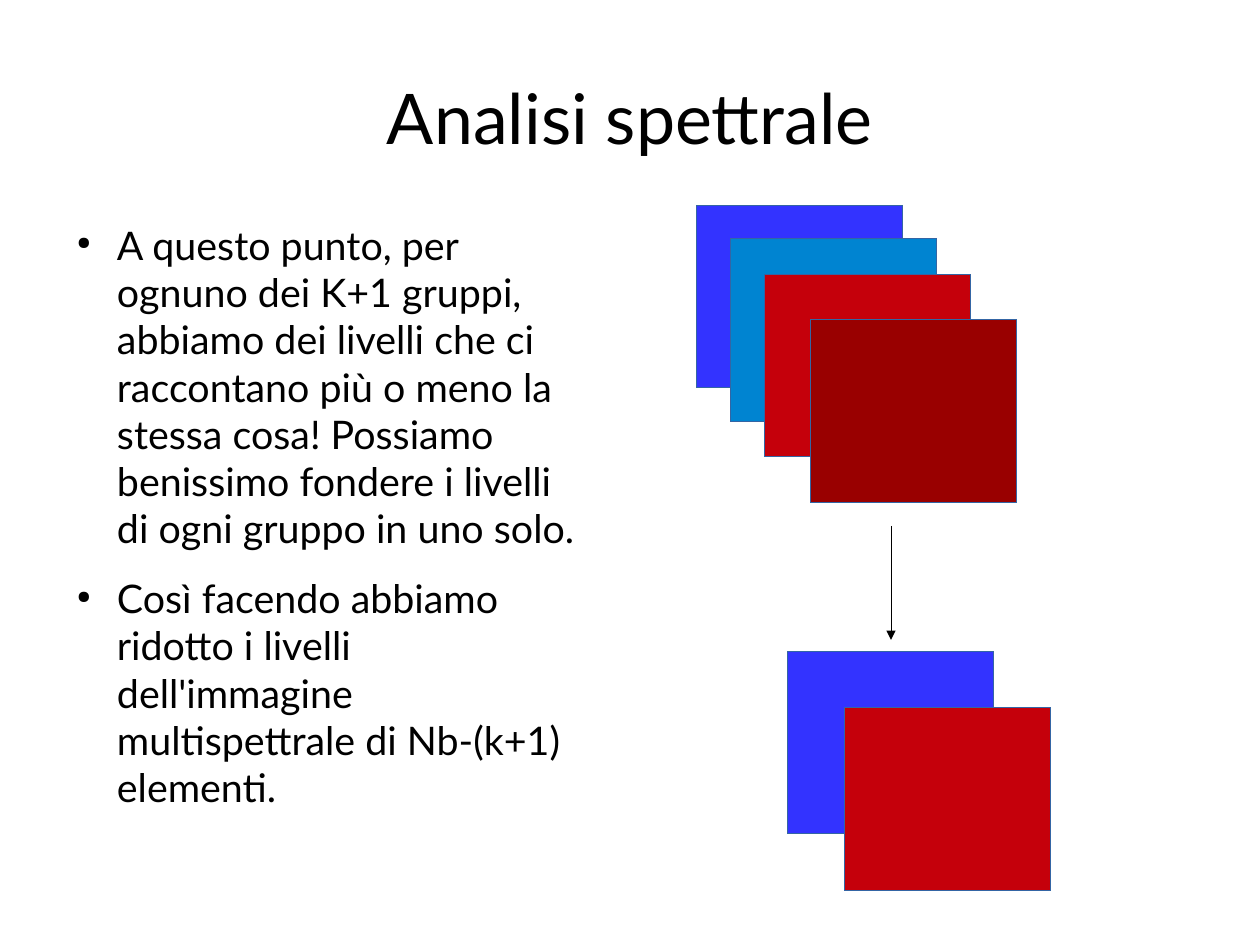
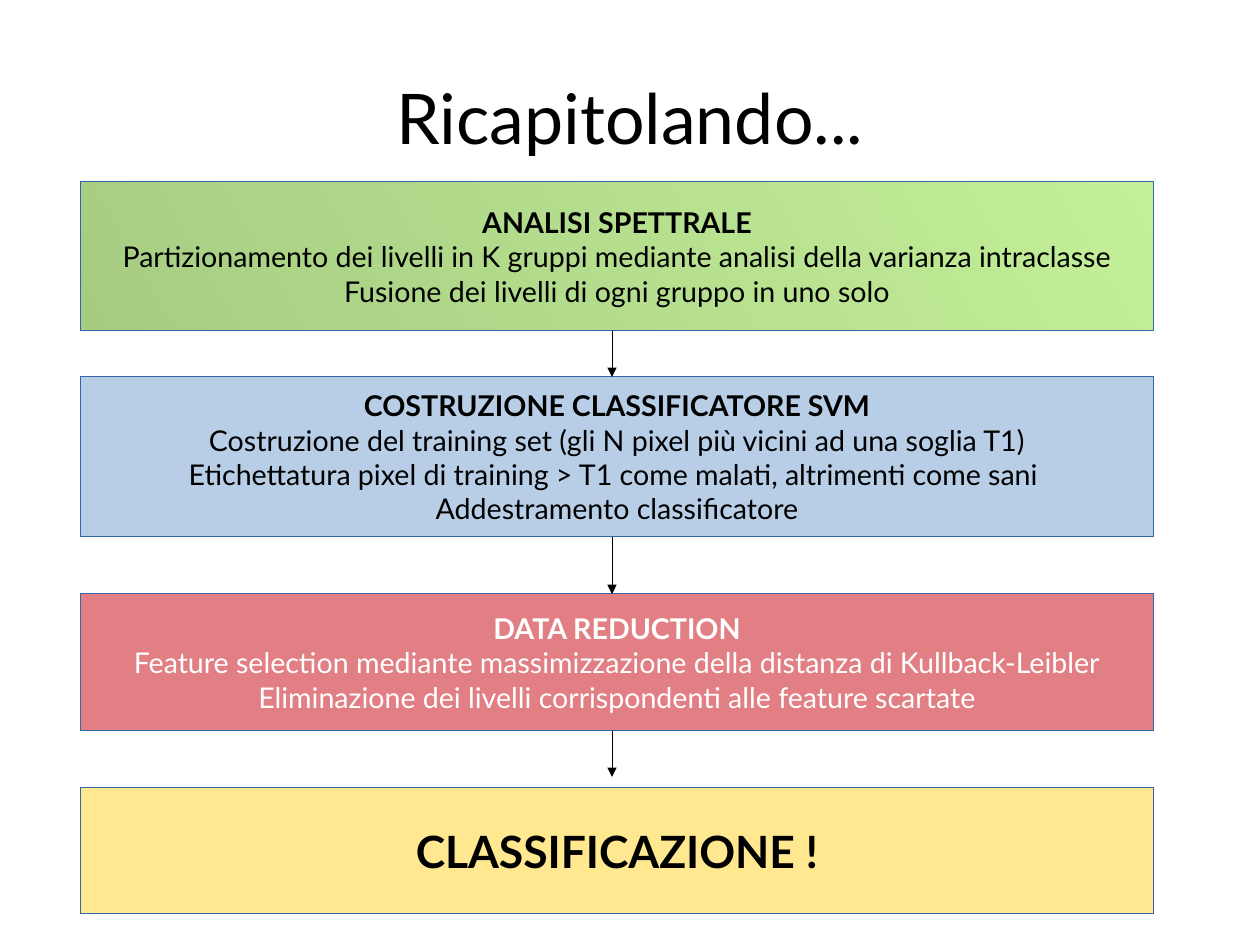
from pptx import Presentation
from pptx.dml.color import RGBColor
from pptx.enum.shapes import MSO_CONNECTOR, MSO_SHAPE
from pptx.enum.text import MSO_ANCHOR, MSO_AUTO_SIZE, PP_ALIGN
from pptx.oxml import parse_xml
from pptx.oxml.ns import qn
from pptx.util import Pt
from lxml import etree

RECT, STRAIGHT = MSO_SHAPE.RECTANGLE, MSO_CONNECTOR.STRAIGHT
CENTER, MIDDLE = PP_ALIGN.CENTER, MSO_ANCHOR.MIDDLE
NO_FIT = MSO_AUTO_SIZE.NONE
NS = 'xmlns:a="http://schemas.openxmlformats.org/drawingml/2006/main"'
PX = 8000  # EMU per px: the slide is 1260 by 945 px
FONT = "Lato"
BLACK, WHITE, OUTLINE = "000000", "FFFFFF", "3465A4"
BLUE, SKY, RED, DARK_RED = "3333FF", "0084D1", "C5000B", "990000"
LEVEL_W, LEVEL_H = 206, 183
BOX_X, BOX_W, ARROW_X = 80, 1074, 612

rgb = RGBColor.from_string


def add_box(s, x, y, w, h, fills, alpha=100):
    """Hairline rectangle; two fills make a gradient, alpha is in percent."""
    sp = s.shapes.add_shape(RECT, x * PX, y * PX, w * PX, h * PX)
    sp.shadow.inherit = False
    if len(fills) == 1:
        sp.fill.solid()
        sp.fill.fore_color.rgb = rgb(fills[0])
    else:
        sp.fill.gradient()
        sp.fill.gradient_angle = 210
        for stop, color in zip(sp.fill.gradient_stops, fills):
            stop.color.rgb = rgb(color)
    if alpha < 100:
        for clr in sp._element.spPr.iter(qn("a:srgbClr")):
            etree.SubElement(clr, qn("a:alpha"), val=str(alpha * 1000))
    sp.line.color.rgb = rgb(OUTLINE)
    sp.line._get_or_add_ln().set("w", "0")
    return sp


def add_arrow(s, x, top, bottom):
    c = s.shapes.add_connector(STRAIGHT, x * PX, top * PX, x * PX, bottom * PX)
    c.line.color.rgb = rgb(BLACK)
    ln = c.line._get_or_add_ln()
    ln.set("w", "0")
    etree.SubElement(ln, qn("a:tailEnd"), type="triangle")
    etree.SubElement(c._element.spPr, qn("a:effectLst"))


prs = Presentation()
prs.slide_width, prs.slide_height = 1260 * PX, 945 * PX

slides = []
for title in ("Analisi spettrale", "Ricapitolando..."):
    s = prs.slides.add_slide(prs.slide_layouts[5])
    sp = s.shapes.title
    sp.left, sp.top, sp.width, sp.height = 63 * PX, 38 * PX, 1134 * PX, 158 * PX
    tf = sp.text_frame
    tf.margin_left = tf.margin_top = tf.margin_right = tf.margin_bottom = 0
    tf.vertical_anchor, tf.auto_size, tf.word_wrap = MIDDLE, NO_FIT, True
    p = tf.paragraphs[0]
    p.alignment = CENTER
    r = p.add_run()
    r.text = title
    r.font.size, r.font.name = Pt(44), FONT
    r.font.color.rgb = rgb(BLACK)
    slides.append(s)
analysis, recap = slides

# Slide 1: bulleted text beside the stacks of levels
bullets = (
    "A questo punto, per ognuno dei K+1 gruppi, abbiamo dei livelli che ci "
    "raccontano più o meno la stessa cosa! Possiamo benissimo fondere i livelli "
    "di ogni gruppo in uno solo.",
    "Così facendo abbiamo ridotto i livelli dell'immagine multispettrale di "
    "Nb-(k+1) elementi.",
)
tf = analysis.shapes.add_textbox(63 * PX, 221 * PX, 520 * PX, 660 * PX).text_frame
tf.margin_left = tf.margin_top = tf.margin_right = tf.margin_bottom = 0
tf.word_wrap = True
for i, text in enumerate(bullets):
    p = tf.paragraphs[0] if i == 0 else tf.add_paragraph()
    pPr = p._p.get_or_add_pPr()
    pPr.set("marL", str(54 * PX))
    pPr.set("indent", str(-40 * PX))
    for bullet_xml in (
        f'<a:buClr {NS}><a:srgbClr val="{BLACK}"/></a:buClr>',
        f'<a:buSzPct {NS} val="45000"/>',
        f'<a:buChar {NS} char="●"/>',
    ):
        pPr.append(parse_xml(bullet_xml))
    p.space_after = Pt(14.2)
    r = p.add_run()
    r.text = text
    r.font.size, r.font.name = Pt(24.8), FONT
    r.font.color.rgb = rgb(BLACK)

levels = (
    (697, 205, BLUE), (731, 239, SKY), (765, 274, RED), (811, 320, DARK_RED),
    (788, 651, BLUE), (845, 708, RED),
)
for x, y, color in levels:
    add_box(analysis, x, y, LEVEL_W, LEVEL_H, [color])
add_arrow(analysis, 891, 526, 640)

# Slide 2: steps as (top, height, fills, text colour, text size, lines)
steps = (
    (182, 149, ["8AE234", "4E9A06"], BLACK, 18, (
        "ANALISI SPETTRALE",
        "Partizionamento dei livelli in K gruppi mediante analisi della varianza intraclasse",
        "Fusione dei livelli di ogni gruppo in uno solo")),
    (377, 160, ["729FCF"], BLACK, 18, (
        "COSTRUZIONE CLASSIFICATORE SVM",
        "Costruzione del training set (gli N pixel più vicini ad una soglia T1)",
        "Etichettatura pixel di training > T1 come malati, altrimenti come sani ",
        "Addestramento classificatore")),
    (594, 137, [RED], WHITE, 18, (
        "DATA REDUCTION",
        "Feature selection mediante massimizzazione della distanza di Kullback-Leibler",
        "Eliminazione dei livelli corrispondenti alle feature scartate")),
    (788, 126, ["FFD320"], BLACK, 28, ("CLASSIFICAZIONE !",)),
)
for top, height, fills, color, size, lines in steps:
    tf = add_box(recap, BOX_X, top, BOX_W, height, fills, alpha=50).text_frame
    tf.word_wrap, tf.vertical_anchor = False, MIDDLE
    for i, line in enumerate(lines):
        p = tf.paragraphs[0] if i == 0 else tf.add_paragraph()
        p.alignment = CENTER
        r = p.add_run()
        r.text = line
        r.font.size, r.font.name, r.font.bold = Pt(size), FONT, i == 0
        r.font.color.rgb = rgb(color)

for top, bottom in ((331, 377), (537, 594), (731, 777)):
    add_arrow(recap, ARROW_X, top, bottom)

prs.save("out.pptx")
